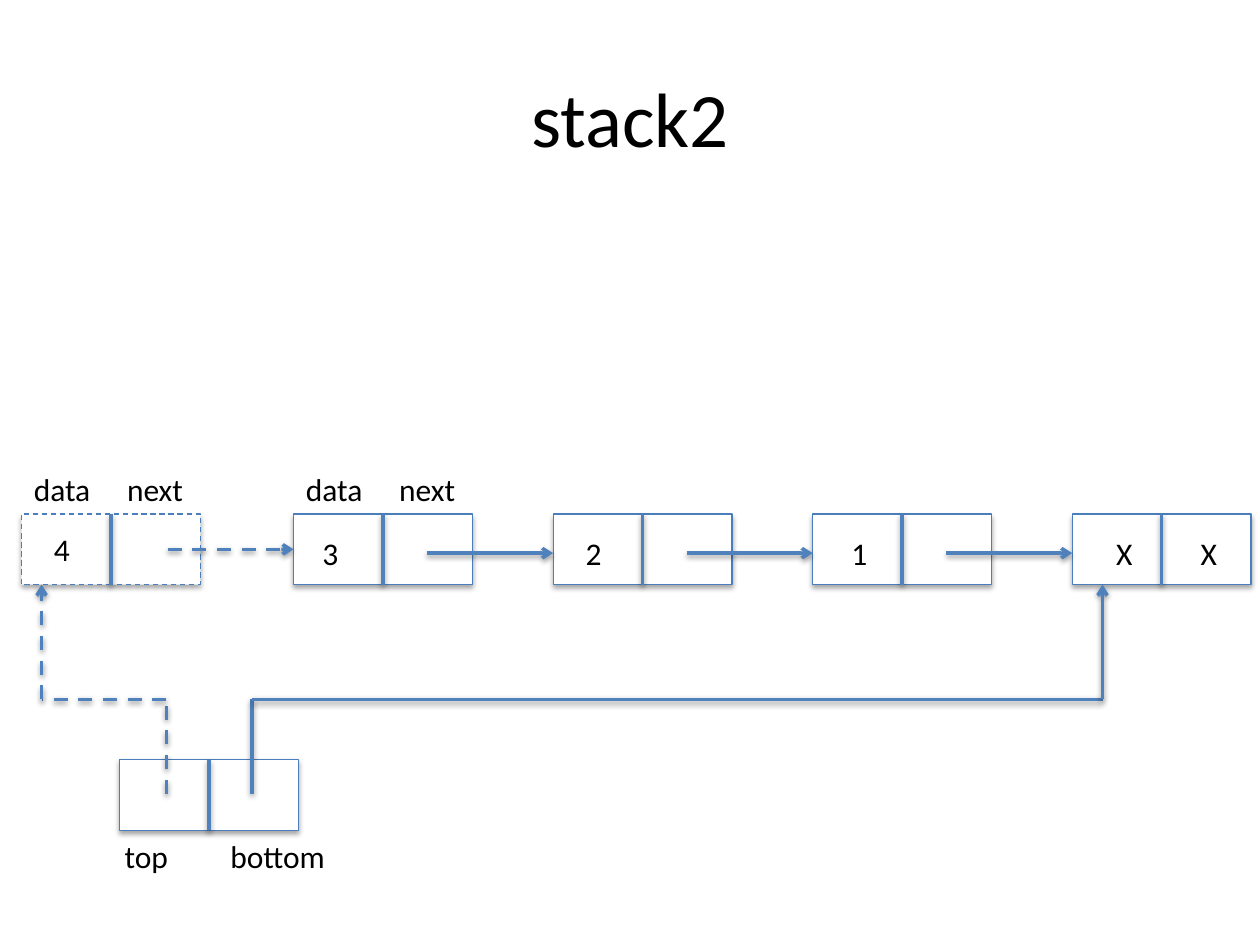
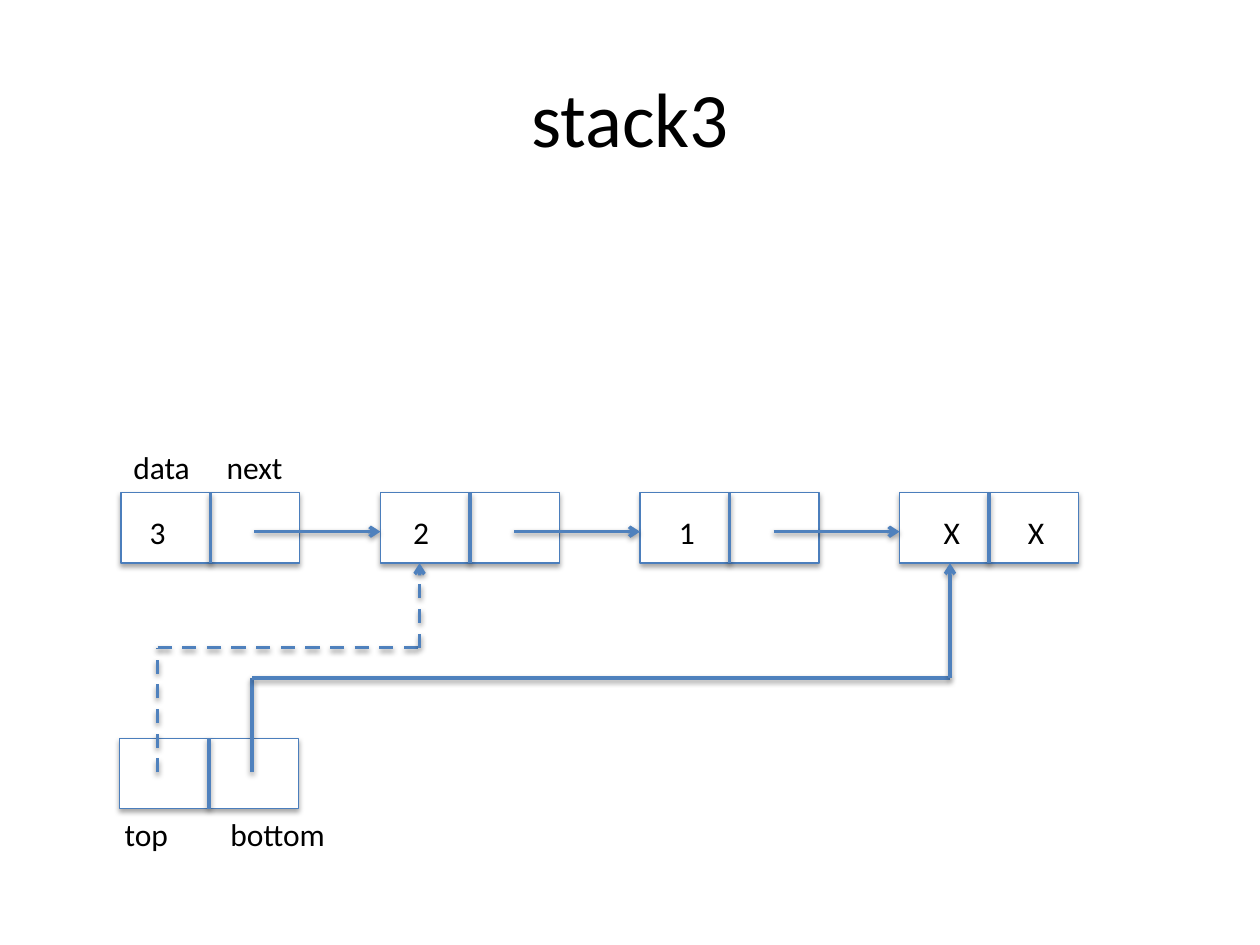
import pptx
import pptx.dml.color
import pptx.enum.dml
import pptx.enum.shapes
import pptx.enum.text
import pptx.oxml
import pptx.oxml.ns
import pptx.util
from dataclasses import dataclass

Inches = pptx.util.Inches
Pt = pptx.util.Pt
RGB = pptx.dml.color.RGBColor.from_string
ANCHOR = pptx.enum.text.MSO_ANCHOR
FIT = pptx.enum.text.MSO_AUTO_SIZE
DASH = pptx.enum.dml.MSO_LINE.DASH

# x: left edge of the first node; y: top of the row; end: where "bottom" points
# top: (start x, end x, drop of the bend below the row)
SLIDES = [
    {"title": "stack2", "x": 2.33, "y": 4.08, "pushed": "4",
     "top": (1.32, 0.33, 1.47), "end": 8.75},
    {"title": "stack3", "x": 0.96, "y": 3.91, "pushed": None,
     "top": (1.25, 3.33, 1.23), "end": 7.54},
]
# Each node: its texts with their offsets from the left edge
NODES = [[("3", 0.13)], [("2", 0.16)], [("1", 0.21)], [("X", 0.25), ("X", 0.92)]]
HEADS = [("data", 0), ("next", 0.74)]
ENDS = [("top", 0.89), ("bottom", 1.73)]
WIDTHS = {"data": 0.66, "next": 0.65, "top": 0.55, "bottom": 0.96}

STEP = 2.06         # distance between nodes
BOX_W, BOX_H = 1.42, 0.56
TEXT_H = 0.4
BASE_X, BASE_DROP = 0.95, 1.95
PUSH_X = 0.17


@dataclass(frozen=True)
class Theme:
    font: str = "Calibri"
    ink: str = "000000"
    paper: str = "FFFFFF"
    edge: str = "4B7EBC"
    line: str = "4F81BD"
    title: int = 44
    body: int = 18
    thin: float = 0.75
    thick: float = 2


THEME = Theme()
FRAME = {"word_wrap": False, "auto_size": FIT.SHAPE_TO_FIT_TEXT}
HEADING = {"word_wrap": True, "vertical_anchor": ANCHOR.MIDDLE}


def apply(item, values):
    for name, value in values.items():
        setattr(item, name, value)


def shade(item, alpha, dist):
    """Give a shape or connector a soft shadow straight below it."""
    item._element.spPr.append(pptx.oxml.parse_xml(
        f'<a:effectLst {pptx.oxml.ns.nsdecls("a")}>'
        f'<a:outerShdw blurRad="{Pt(3.1)}" dist="{Pt(dist)}" dir="5400000" rotWithShape="0">'
        f'<a:srgbClr val="{THEME.ink}"><a:alpha val="{alpha * 1000}"/></a:srgbClr>'
        '</a:outerShdw></a:effectLst>'))


def stroke(item, color, width, dash):
    item.line.color.rgb = RGB(color)
    apply(item.line, {"width": Pt(width), "dash_style": DASH if dash else None})


def write(slide, text, x, y, w, h, size, frame, align=None):
    body = slide.shapes.add_textbox(*map(Inches, (x, y, w, h))).text_frame
    apply(body, frame)
    para = body.paragraphs[0]
    para.text, para.alignment = text, align
    apply(para.runs[0].font, {"name": THEME.font, "size": Pt(size)})
    para.runs[0].font.color.rgb = RGB(THEME.ink)


def label(slide, text, x, y):
    write(slide, text, x, y, WIDTHS.get(text, 0.33), TEXT_H, THEME.body, FRAME)


def link(shapes, start, end, dash=False, head=False):
    line = shapes.add_connector(pptx.enum.shapes.MSO_CONNECTOR.STRAIGHT,
                                *map(Inches, (*start, *end)))
    stroke(line, THEME.line, THEME.thick, dash)
    if head:
        line.line._get_or_add_ln().append(pptx.oxml.parse_xml(
            f'<a:tailEnd {pptx.oxml.ns.nsdecls("a")} type="arrow"/>'))
    shade(line, 38, 1.6)


def route(slide, points, dash=False):
    """Join the points with lines, the last one with an arrowhead."""
    last = len(points) - 2
    for i, (start, end) in enumerate(zip(points, points[1:])):
        link(slide.shapes, start, end, dash, head=i == last)


def cell(slide, x, y, dash=False):
    """Draw a box split into two fields."""
    group = slide.shapes.add_group_shape().shapes
    box = group.add_shape(pptx.enum.shapes.MSO_SHAPE.RECTANGLE,
                          *map(Inches, (x, y, BOX_W, BOX_H)))
    box.fill.solid()
    box.fill.fore_color.rgb = RGB(THEME.paper)
    stroke(box, THEME.edge, THEME.thin, dash)
    shade(box, 35, 1.8)
    mid = x + BOX_W / 2
    link(group, (mid, y), (mid, y + BOX_H))


def draw(slide, title, x, y, pushed, top, end):
    write(slide, title, 0.5, 0.3, 9, 1.25, THEME.title, HEADING,
          pptx.enum.text.PP_ALIGN.CENTER)
    lefts = [x + i * STEP for i in range(len(NODES))]
    for left in lefts:
        cell(slide, left, y)
    cell(slide, BASE_X, y + BASE_DROP)
    starts = [x]
    if pushed:
        starts.append(PUSH_X)
        cell(slide, PUSH_X, y, dash=True)
        label(slide, pushed, PUSH_X + 0.16, y + 0.08)
        link(slide.shapes, (x - 1, y + 0.28), (x, y + 0.28), dash=True, head=True)

    for left, texts in zip(lefts, NODES):
        for text, shift in texts:
            label(slide, text, left + shift, y + 0.11)
    for left, after in zip(lefts, lefts[1:]):
        link(slide.shapes, (after - 1, y + 0.31), (after, y + 0.31), head=True)
    for left in starts:
        for text, shift in HEADS:
            label(slide, text, left + shift, y - TEXT_H)
    for text, left in ENDS:
        label(slide, text, left, y + BASE_DROP + BOX_H)

    first, last, drop = top
    for a, b, bend, dash in [(first, last, drop, True), (2, end, 1.47, False)]:
        route(slide, [(a, y + 2.22), (a, y + bend), (b, y + bend), (b, y + BOX_H)], dash)


def main():
    deck = pptx.Presentation()
    apply(deck, {"slide_width": Inches(10), "slide_height": Inches(7.5)})
    for content in SLIDES:
        draw(deck.slides.add_slide(deck.slide_layouts[6]), **content)
    deck.save("out.pptx")


if __name__ == "__main__":
    main()
